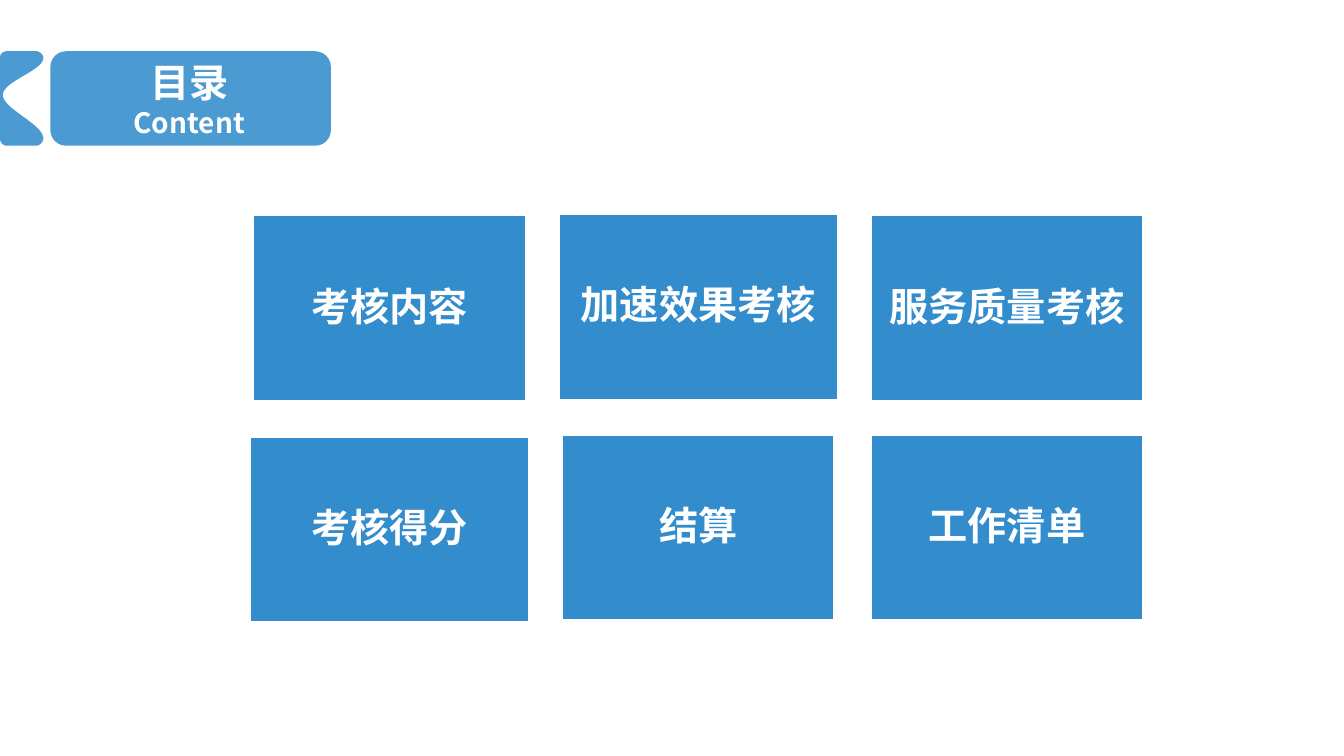
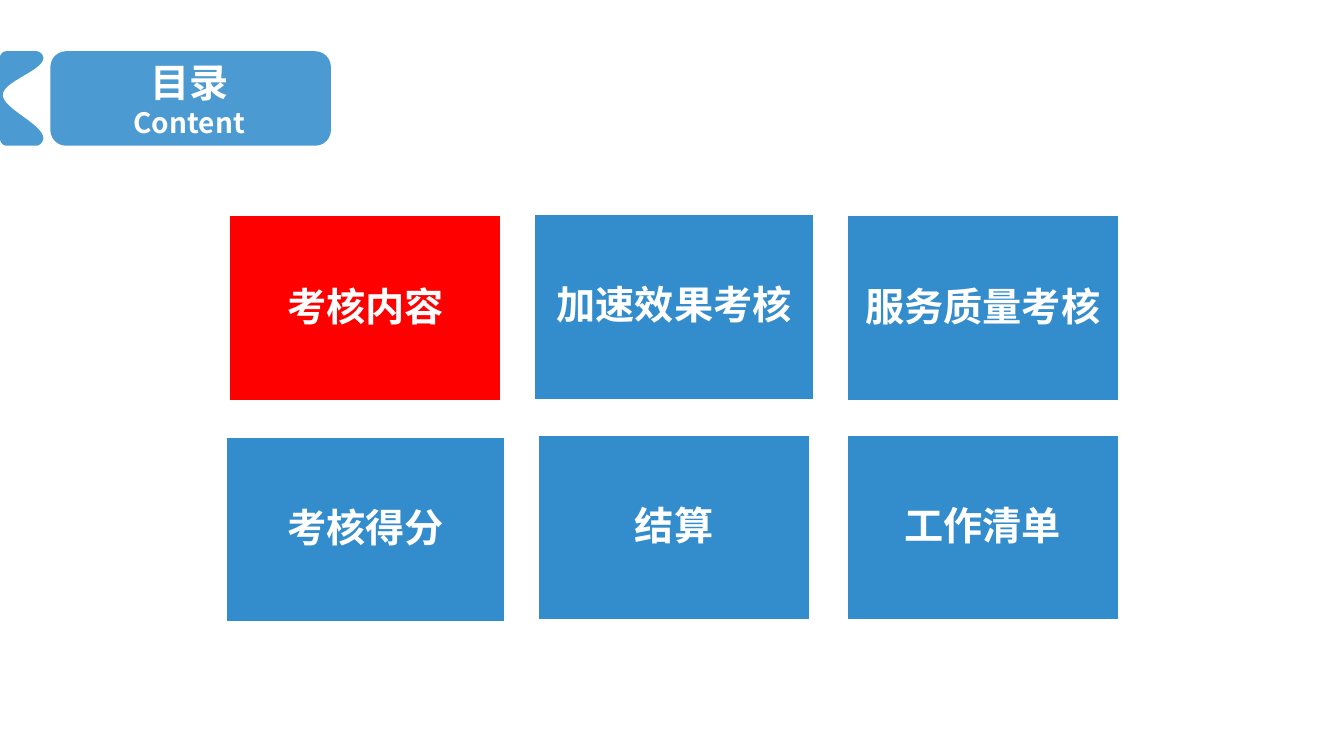
import lxml.etree
import pptx
import pptx.dml.color
import pptx.enum.shapes
import pptx.enum.text
import pptx.oxml.ns
import pptx.util

Pt = pptx.util.Pt
RGBColor = pptx.dml.color.RGBColor
SHAPES = pptx.enum.shapes.MSO_SHAPE

BLUE = RGBColor(0x00, 0x70, 0xC0)
RED = RGBColor(0xFF, 0x00, 0x00)
WHITE = RGBColor(0xFF, 0xFF, 0xFF)
FONT = "Noto Sans CJK SC"

HEADING = [("目录", 28), ("Content", 20)]
TILES = [
    ("考核内容", 0, 0, 195, 1),
    ("加速效果考核", 1, 0, 200, 0),
    ("服务质量考核", 2, 0, 195, 1),
    ("考核得分", 0, 1, 200, 1.5),
    ("结算", 1, 1, 195, 0),
    ("工作清单", 2, 1, 195, 0),
]
FIRST_CENTRE = 100.25
COLUMN_PITCH = 220.5
ROW_PITCH = 157.5
TILE_HEIGHT = 133.2

NOTCH_START = (5, 67.5)
NOTCH_STEPS = [
    [(2, 67.5), (0, 65), (0, 62)],
    [(0, 5)],
    [(0, 2), (2, 0), (5, 0)],
    [(26, 0)],
    [(28, 0), (31, 2), (31, 5)],
    [(30.5, 14), (2, 21.5), (2, 31.25)],
    [(2, 41), (30.5, 52), (31, 62)],
    [(31, 65), (28, 67.5), (26, 67.5)],
]


def paint(shape, color, opacity=100, line=None):
    """Fill a shape, with an optional outline colour, and no shadow."""
    shape.shadow.inherit = False
    shape.fill.solid()
    shape.fill.fore_color.rgb = color
    if opacity < 100:
        fill = shape._element.spPr.find(pptx.oxml.ns.qn("a:solidFill"))
        alpha = lxml.etree.SubElement(fill[0], pptx.oxml.ns.qn("a:alpha"))
        alpha.set("val", str(opacity * 1000))
    if line is None:
        shape.line.fill.background()
    else:
        shape.line.color.rgb = line
        shape.line.width = Pt(2)


def write_text(shape, lines, color=WHITE, bold=True, spacing=1.0, inset=0, right=None):
    """Write centred lines, given as (text, size) pairs, in one paragraph."""
    frame = shape.text_frame
    frame.word_wrap = True
    frame.vertical_anchor = pptx.enum.text.MSO_ANCHOR.MIDDLE
    frame.margin_left = frame.margin_top = frame.margin_bottom = Pt(inset)
    frame.margin_right = Pt(inset if right is None else right)
    para = frame.paragraphs[0]
    para.alignment = pptx.enum.text.PP_ALIGN.CENTER
    para.line_spacing = spacing
    for index, (text, size) in enumerate(lines):
        if index:
            para.add_line_break()
        span = para.add_run()
        span.text = text
        span.font.size = Pt(size)
        span.font.bold = bold
        span.font.color.rgb = color
        span.font.name = FONT
        east_asian = lxml.etree.SubElement(span._r.get_or_add_rPr(),
                                           pptx.oxml.ns.qn("a:ea"))
        east_asian.set("typeface", FONT)


def curve_points(start, controls, steps=16):
    """Return points along a cubic curve, or the end of a straight line."""
    if len(controls) == 1:
        return controls
    corners = [start, *controls]
    points = []
    for step in range(1, steps + 1):
        t = step / steps
        weights = ((1 - t) ** 3, 3 * t * (1 - t) ** 2, 3 * t * t * (1 - t), t ** 3)
        points.append(tuple(sum(w * corner[axis] for w, corner in zip(weights, corners))
                            for axis in (0, 1)))
    return points


def add_notch(page, left, top):
    """Draw the notched tab at the page edge."""
    outline = [NOTCH_START]
    for controls in NOTCH_STEPS:
        outline += curve_points(outline[-1], controls)
    vertices = [(Pt(left + x), Pt(top + y)) for x, y in outline]
    builder = page.shapes.build_freeform(*vertices[0], scale=1.0)
    builder.add_line_segments(vertices[1:], close=True)
    paint(builder.convert_to_shape(), BLUE, opacity=70)


def add_heading(page, left, top):
    """Draw the heading band: the notched tab and the titled plate."""
    add_notch(page, left, top)
    plate = page.shapes.add_shape(SHAPES.FLOWCHART_ALTERNATE_PROCESS,
                                  Pt(left + 36), Pt(top), Pt(200.4), Pt(67.5))
    paint(plate, BLUE, opacity=70)
    write_text(plate, HEADING, right=2)


def add_tiles(page, left, top, current=None):
    """Draw the grid of topics and mark the current one in red."""
    for label, column, row, width, drop in TILES:
        centre = left + FIRST_CENTRE + column * COLUMN_PITCH
        tile = page.shapes.add_shape(SHAPES.RECTANGLE, Pt(centre - width / 2),
                                     Pt(top + row * ROW_PITCH + drop),
                                     Pt(width), Pt(TILE_HEIGHT))
        if label == current:
            paint(tile, RED, line=WHITE)
        else:
            paint(tile, BLUE, opacity=80, line=WHITE)
        write_text(tile, [(label, 28)], spacing=0.9, inset=10.8)


def add_contents_page(deck, grid_left, current=None):
    """Add one contents page."""
    page = deck.slides.add_slide(deck.slide_layouts[6])
    add_heading(page, 0, 36.6)
    add_tiles(page, grid_left, 152.6, current)


def main():
    """Build and save the deck."""
    deck = pptx.Presentation()
    deck.slide_width, deck.slide_height = Pt(960), Pt(540)
    add_contents_page(deck, 178)
    add_contents_page(deck, 160.7, current="考核内容")
    deck.save("out.pptx")


if __name__ == "__main__":
    main()
